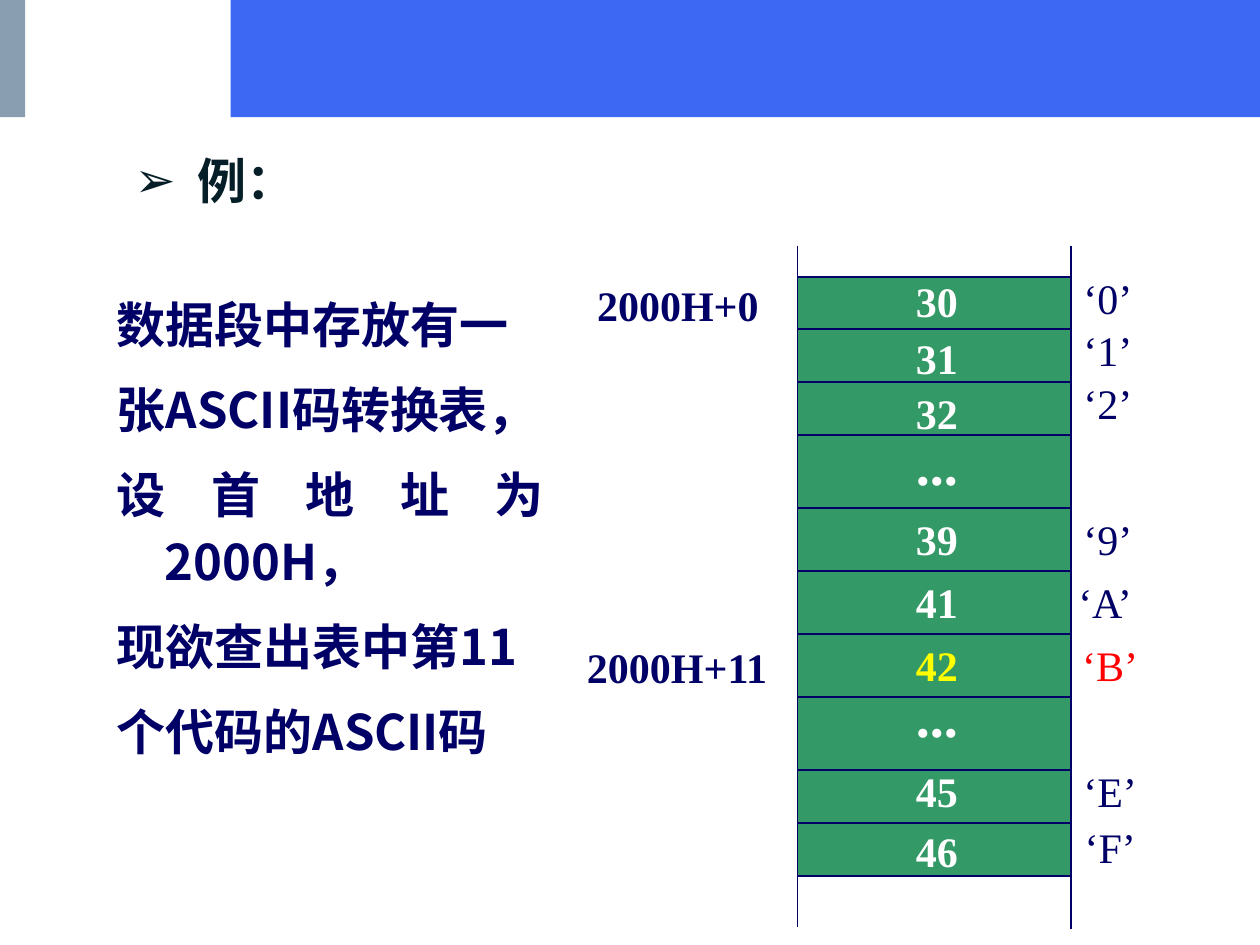
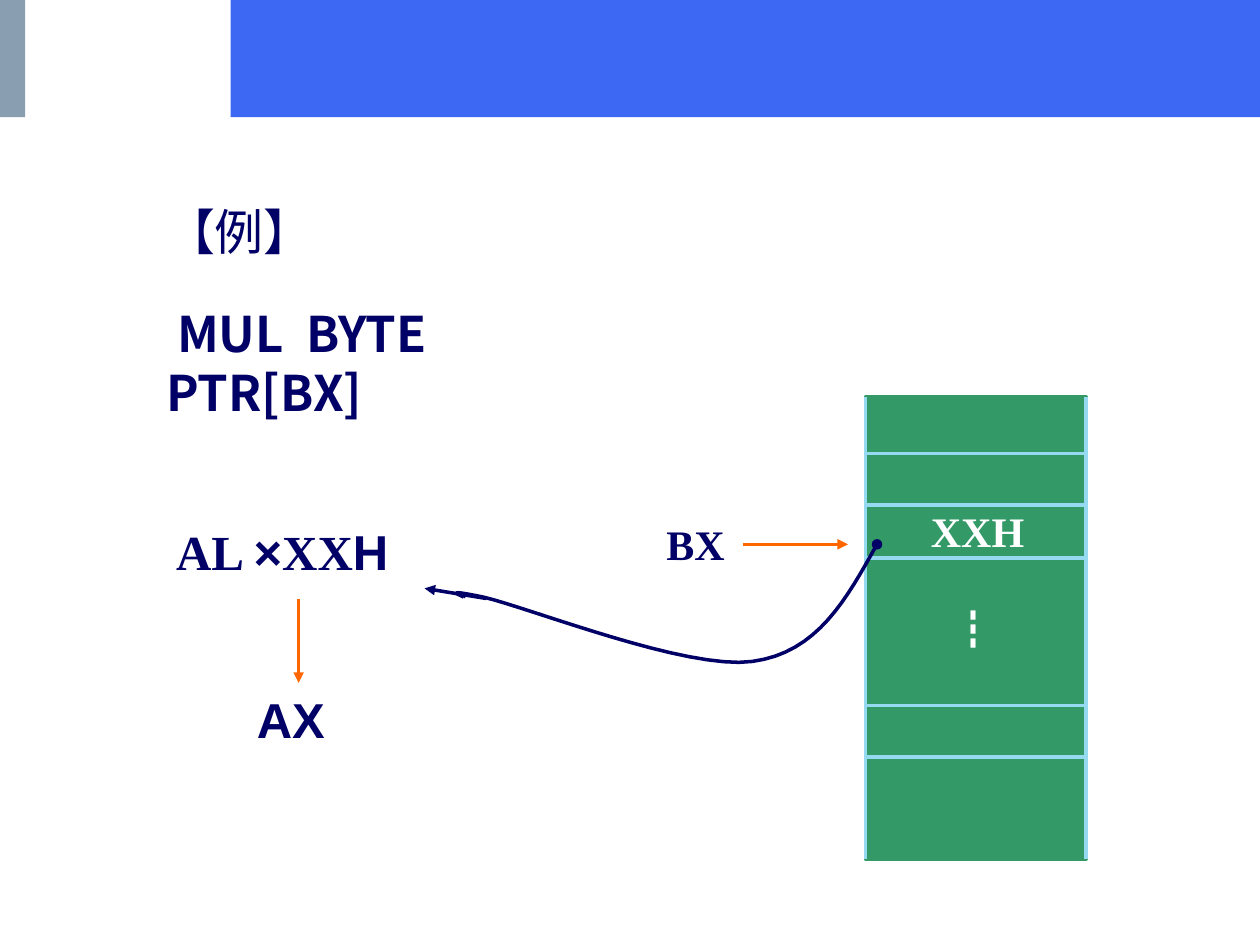
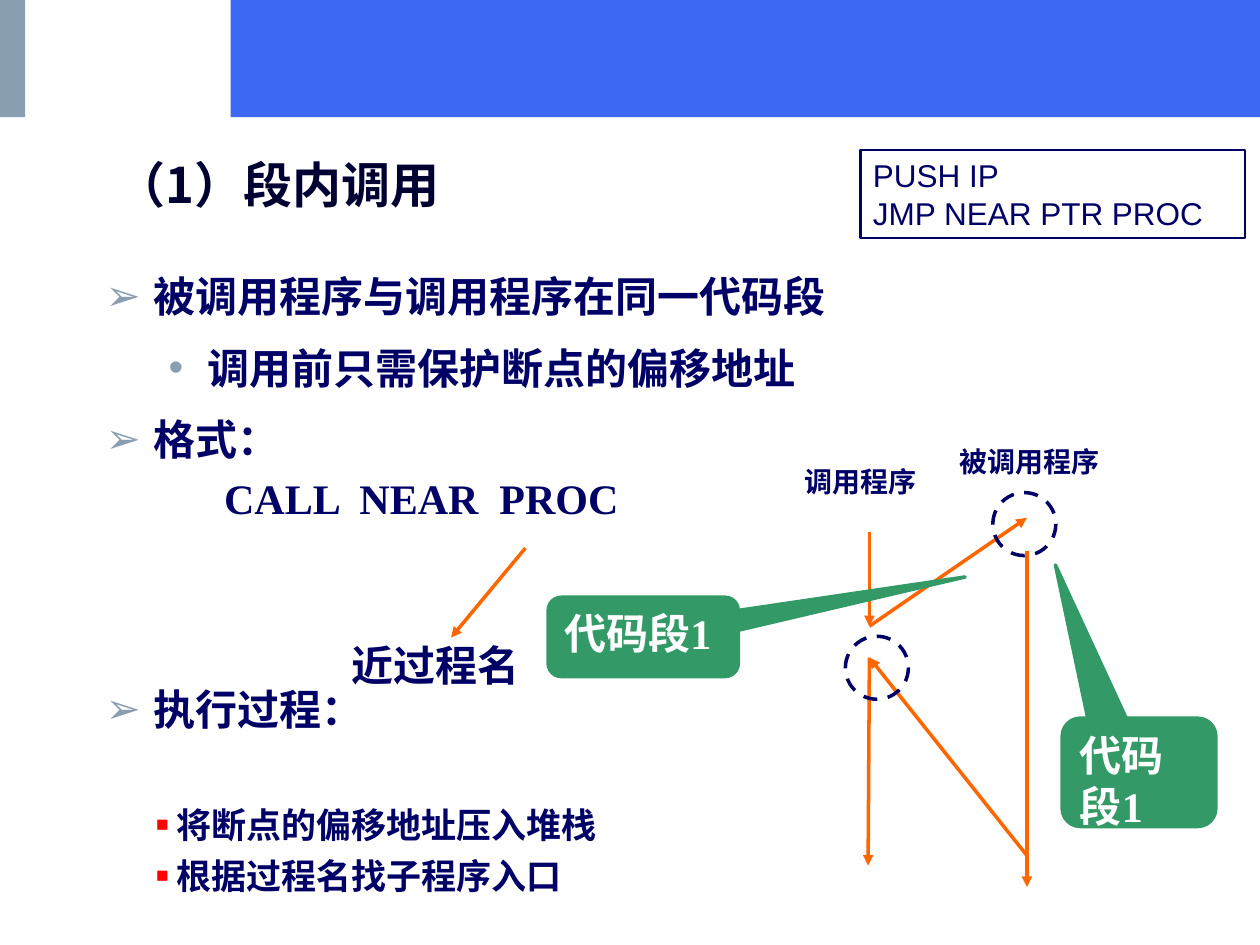
"""Build three slides on table lookup, multiplication and near calls in assembly."""
import pptx
import pptx.util
import pptx.dml.color
import pptx.enum.dml
import pptx.enum.shapes
import pptx.enum.text
import pptx.oxml
import pptx.oxml.ns
from pptx.util import Inches

COLORS = {"band": "3C68F4", "grey": "8A9EB2", "navy": "000066", "ink": "061E27",
          "heading": "000033", "green": "339966", "sky": "96DAF2", "orange": "FF6600",
          "white": "FFFFFF", "yellow": "FFFF00", "red": "FF0000"}
CJK, SERIF, SANS = "Noto Sans CJK SC", "Times New Roman", "Arial"
SHAPE = pptx.enum.shapes.MSO_SHAPE
ALIGN = pptx.enum.text.PP_ALIGN
ANCHOR = pptx.enum.text.MSO_ANCHOR

BANDS = [((1.83, 0, 8.17, 0.93), "band"), ((0, 0, 0.2, 0.93), "grey")]

TASK_LINES = ["数据段中存放有一", "张ASCII码转换表，", "设首地址为2000H，",
              "现欲查出表中第11", "个代码的ASCII码"]
MEMORY_LEFT, MEMORY_RIGHT = 6.33, 8.5
MEMORY_BLOCKS = [(2.2, 4.03), (4.03, 6.95)]
MEMORY_DIVIDERS = [2.61, 3.03, 3.45, 4.53, 5.03, 5.53, 6.11, 6.53, 6.95]
MEMORY_EDGES = [(MEMORY_LEFT, 1.95, 2.2), (MEMORY_RIGHT, 1.95, 2.2),
                (MEMORY_LEFT, 6.03, 7.36), (MEMORY_RIGHT, 5.7, 7.37)]
MEMORY_CELLS = [("30", 2.14), ("31", 2.59), ("32", 3.03), ("...", 3.36), ("39", 4.03),
                ("41", 4.53), ("42", 5.03), ("...", 5.36), ("45", 6.03), ("46", 6.5)]
CHARACTERS = [("‘0’", 8.5, 2.11), ("‘1’", 8.5, 2.53), ("‘2’", 8.5, 2.95), ("‘9’", 8.5, 4.03),
              ("‘A’", 8.46, 4.53), ("‘B’", 8.49, 5.03), ("‘E’", 8.5, 6.03), ("‘F’", 8.51, 6.47)]
ADDRESSES = [("2000H+0", (4.64, 2.17, 1.62, 0.5)), ("2000H+11", (4.56, 5.04, 1.78, 0.5))]

STACK_LEFT, STACK_TOP, STACK_RIGHT, STACK_BOTTOM = 6.87, 3.15, 8.62, 6.82
STACK_DIVIDERS = [3.6, 4.01, 4.43, 5.6, 6.01]
OPERAND_CURVE = [[(6.96, 4.32), (6.72, 4.75), (6.49, 5.18), (5.97, 5.25)],
                 [(5.97, 5.25), (5.45, 5.32), (4.22, 4.83), (3.84, 4.74)],
                 [(3.84, 4.74), (3.46, 4.66), (3.7, 4.74), (3.68, 4.74)]]
MULTIPLY_LABELS = [
    ("【例】", (1.22, 1.55, 4.33, 0.57), {"size": 28, "font": CJK, "bold": False}),
    ("┇", (7.46, 4.74, 0.67, 0.5), {"font": CJK, "color": "white"}),
    ("BX", (5.19, 4.07, 0.83, 0.5), {}),
    ("XXH", (7.29, 3.96, 1.17, 0.5), {"color": "white"}),
    ([("AL ", SERIF), ("×", SANS), ("XX", SERIF), ("H", SANS)],
     (1.3, 4.09, 2.17, 0.57), {"size": 28}),
    ("AX", (1.94, 5.42, 0.83, 0.57), {"size": 28, "font": SANS}),
]
MULTIPLY_ARROWS = [((5.9, 4.32), (6.73, 4.32)), ((2.37, 4.75), (2.37, 5.42))]

ARROW_BULLET = {"bullet": "➢", "bullet_color": "grey", "left": 0.38, "indent": -0.38}
CALL_POINTS = [
    ("被调用程序与调用程序在同一代码段", {**ARROW_BULLET, "after": 7.2}),
    ("调用前只需保护断点的偏移地址", {"bullet": "•", "bullet_color": "grey", "left": 0.81,
                        "indent": -0.31, "before": 4.8, "after": 7.2}),
    ("格式：", {**ARROW_BULLET, "before": 4.8}),
    ([("CALL  NEAR  PROC", SERIF)], {"left": 0.94, "before": 4.8}),
    ("执行过程：", {**ARROW_BULLET, "before": 92}),
]
SQUARE_BULLET = {"bullet": "■", "bullet_color": "red", "bullet_size": 60,
                 "left": 0.16, "indent": -0.16}
CALL_STEPS = [("将断点的偏移地址压入堆栈", SQUARE_BULLET),
              ("根据过程名找子程序入口", {**SQUARE_BULLET, "before": 5})]
CALL_LABELS = [("近过程名", (2.69, 5.03, 1.92, 0.5), 24), ("调用程序", (6.29, 3.64, 1.21, 0.37), 16),
               ("被调用程序", (7.52, 3.48, 1.49, 0.37), 16)]
CALL_ARROWS = [((4.17, 4.35), (3.58, 5.06)), ((6.9, 4.22), (6.9, 4.97)),
               ((6.9, 4.97), (8.15, 4.11)), ((8.15, 4.37), (8.15, 7.04)),
               ((8.15, 6.79), (6.9, 5.22)), ((6.9, 5.22), (6.89, 6.87))]
BREAKPOINTS = [(6.71, 5.05), (7.88, 3.91)]
CALLOUTS = [((4.35, 4.74, 1.51, 0.63), (1.692, -0.755, 0.167)),
            ((8.43, 5.7, 1.22, 0.86), (-0.544, -1.914, 0.167))]
EXPANSION = ["PUSH IP", "JMP NEAR PTR PROC"]


def rgb(name):
    return pptx.dml.color.RGBColor.from_string(COLORS[name])


def append_xml(parent, tag, **attributes):
    element = pptx.oxml.parse_xml(f"<a:{tag} {pptx.oxml.ns.nsdecls('a')}/>")
    for key, value in attributes.items():
        element.set(key, str(value))
    parent.append(element)
    return element


def format_paragraph(paragraph, options):
    properties = paragraph._p.get_or_add_pPr()
    for key, attribute in (("left", "marL"), ("indent", "indent")):
        properties.set(attribute, str(Inches(options.get(key, 0))))
    formats = {"alignment": options.get("align", ALIGN.LEFT),
               "line_spacing": options.get("spacing"),
               "space_before": pptx.util.Pt(options.get("before", 0)),
               "space_after": pptx.util.Pt(options.get("after", 0))}
    for name, value in formats.items():
        setattr(paragraph, name, value)
    if "bullet" in options:
        color = append_xml(properties, "buClr")
        append_xml(color, "srgbClr", val=COLORS[options["bullet_color"]])
        append_xml(properties, "buSzPct", val=options.get("bullet_size", 100) * 1000)
        append_xml(properties, "buFont", typeface=SANS)
        append_xml(properties, "buChar", char=options["bullet"])
    else:
        append_xml(properties, "buNone")


def write(frame, paragraphs, size=24, color="navy", font=SERIF, bold=True, anchor=ANCHOR.TOP):
    frame.word_wrap = True
    frame.vertical_anchor = anchor
    for index, (content, options) in enumerate(paragraphs):
        paragraph = frame.add_paragraph() if index else frame.paragraphs[0]
        format_paragraph(paragraph, options)
        for text, typeface in [(content, font)] if isinstance(content, str) else content:
            run = paragraph.add_run()
            run.text = text
            run.font.color.rgb = rgb(color)
            formats = {"size": pptx.util.Pt(size), "bold": bold, "name": typeface}
            for name, value in formats.items():
                setattr(run.font, name, value)
            append_xml(run._r.get_or_add_rPr(), "ea", typeface=CJK)


def add_text(slide, box, content, **formats):
    paragraphs = [(content, {})] if isinstance(content, str) else content
    shape = slide.shapes.add_textbox(*map(Inches, box))
    write(shape.text_frame, paragraphs, **formats)
    return shape


def paint(shape, fill=None, line=None, width=1):
    shape.shadow.inherit = False
    if fill:
        shape.fill.solid()
        shape.fill.fore_color.rgb = rgb(fill)
    else:
        shape.fill.background()
    if line:
        shape.line.color.rgb = rgb(line)
        shape.line.width = pptx.util.Pt(width)
    else:
        shape.line.fill.background()


def add_shape(slide, box, kind=SHAPE.RECTANGLE, **style):
    shape = slide.shapes.add_shape(kind, *map(Inches, box))
    paint(shape, **style)
    return shape


def add_line(slide, start, end, color, width=1, arrow=False):
    line = slide.shapes.add_connector(pptx.enum.shapes.MSO_CONNECTOR.STRAIGHT,
                                      *map(Inches, start + end))
    line.line.color.rgb = rgb(color)
    line.line.width = pptx.util.Pt(width)
    if arrow:
        append_xml(line.line._get_or_add_ln(), "tailEnd", type="triangle")
    append_xml(line._element.spPr, "effectLst")


def bezier(points, steps=16):
    for step in range(1, steps + 1):
        t = step / steps
        weights = ((1 - t) ** 3, 3 * t * (1 - t) ** 2, 3 * t * t * (1 - t), t ** 3)
        yield tuple(Inches(sum(w * p[axis] for w, p in zip(weights, points))) for axis in (0, 1))


def add_slide(presentation):
    slide = presentation.slides.add_slide(presentation.slide_layouts[6])
    for box, color in BANDS:
        add_shape(slide, box, fill=color)
    return slide


def build_lookup(slide):
    add_text(slide, (0.97, 1.12, 7.17, 0.62),
             [("例：", {"bullet": "➢", "bullet_color": "ink", "left": 0.5, "indent": -0.5})],
             size=28, color="ink", font=SANS, anchor=ANCHOR.MIDDLE)
    task = [(text, {"align": ALIGN.JUSTIFY, "left": 0.38, "indent": -0.38, "spacing": 1.15,
                    "before": 5.6 if index else 0, "after": 4.2})
            for index, text in enumerate(TASK_LINES)]
    add_text(slide, (0.83, 2.22, 3.58, 4.32), task, size=28, font=CJK)
    for top, bottom in MEMORY_BLOCKS:
        add_shape(slide, (MEMORY_LEFT, top, MEMORY_RIGHT - MEMORY_LEFT, bottom - top),
                  fill="green", line="navy")
    for y in MEMORY_DIVIDERS:
        add_line(slide, (MEMORY_LEFT, y), (MEMORY_RIGHT, y), "navy")
    for x, top, bottom in MEMORY_EDGES:
        add_line(slide, (x, top), (x, bottom), "navy")
    for text, top in MEMORY_CELLS:
        add_text(slide, (7.17, top, 1.83, 0.5), text, size=32 if text == "..." else 24,
                 color="yellow" if text == "42" else "white")
    for text, left, top in CHARACTERS:
        add_text(slide, (left, top, 1, 0.5), text, bold=False,
                 color="red" if text == "‘B’" else "navy")
    for text, box in ADDRESSES:
        add_text(slide, box, text)


def build_multiply(slide):
    instruction = add_text(slide, (1.22, 2.36, 3.97, 0.7), " MUL  BYTE  PTR[BX]",
                           size=28, font=CJK)
    instruction.text_frame.margin_right = Inches(0.4)
    add_shape(slide, (STACK_LEFT, STACK_TOP, STACK_RIGHT - STACK_LEFT, STACK_BOTTOM - STACK_TOP),
              fill="green", line="green", width=2)
    for y in STACK_DIVIDERS:
        add_line(slide, (STACK_LEFT, y), (STACK_RIGHT, y), "sky", 2)
    for x in (STACK_LEFT, STACK_RIGHT):
        add_line(slide, (x, STACK_TOP), (x, STACK_BOTTOM), "sky", 2)
    builder = slide.shapes.build_freeform(*map(Inches, OPERAND_CURVE[0][0]))
    builder.add_line_segments([point for part in OPERAND_CURVE for point in bezier(part)],
                              close=False)
    curve = builder.convert_to_shape()
    paint(curve, line="navy", width=2)
    append_xml(curve.line._get_or_add_ln(), "headEnd", type="oval")
    add_line(slide, (3.86, 4.75), (3.37, 4.67), "navy", 2, arrow=True)
    for start, end in MULTIPLY_ARROWS:
        add_line(slide, start, end, "orange", 2, arrow=True)
    for content, box, formats in MULTIPLY_LABELS:
        add_text(slide, box, [(content, {})], **formats)


def build_call(slide):
    add_text(slide, (0.83, 1.15, 3.07, 0.62), "（1）段内调用", size=28, color="heading",
             font=CJK, anchor=ANCHOR.MIDDLE)
    add_text(slide, (0.74, 2.1, 6.31, 4.06), CALL_POINTS, font="DejaVu Sans")
    add_text(slide, (1.14, 6.33, 3.94, 0.85), CALL_STEPS, size=20)
    for start, end in CALL_ARROWS:
        add_line(slide, start, end, "orange", 2, arrow=True)
    for left, top in BREAKPOINTS:
        circle = add_shape(slide, (left, top, 0.5, 0.5), SHAPE.OVAL, line="navy", width=2)
        circle.line.dash_style = pptx.enum.dml.MSO_LINE.DASH
    for box, adjustments in CALLOUTS:
        callout = add_shape(slide, box, SHAPE.ROUNDED_RECTANGULAR_CALLOUT,
                            fill="green", line="green", width=2)
        for index, value in enumerate(adjustments):
            callout.adjustments[index] = value
        write(callout.text_frame, [("代码段1", {})], color="white")
    for text, box, size in CALL_LABELS:
        add_text(slide, box, text, size=size)
    expansion = add_shape(slide, (6.83, 1.19, 3.05, 0.7), line="navy", width=1.5)
    write(expansion.text_frame, [(text, {}) for text in EXPANSION],
          size=18, font=SANS, bold=False)


def main():
    presentation = pptx.Presentation()
    presentation.slide_width, presentation.slide_height = Inches(10), Inches(7.5)
    for build in (build_lookup, build_multiply, build_call):
        build(add_slide(presentation))
    presentation.save("out.pptx")


if __name__ == "__main__":
    main()
